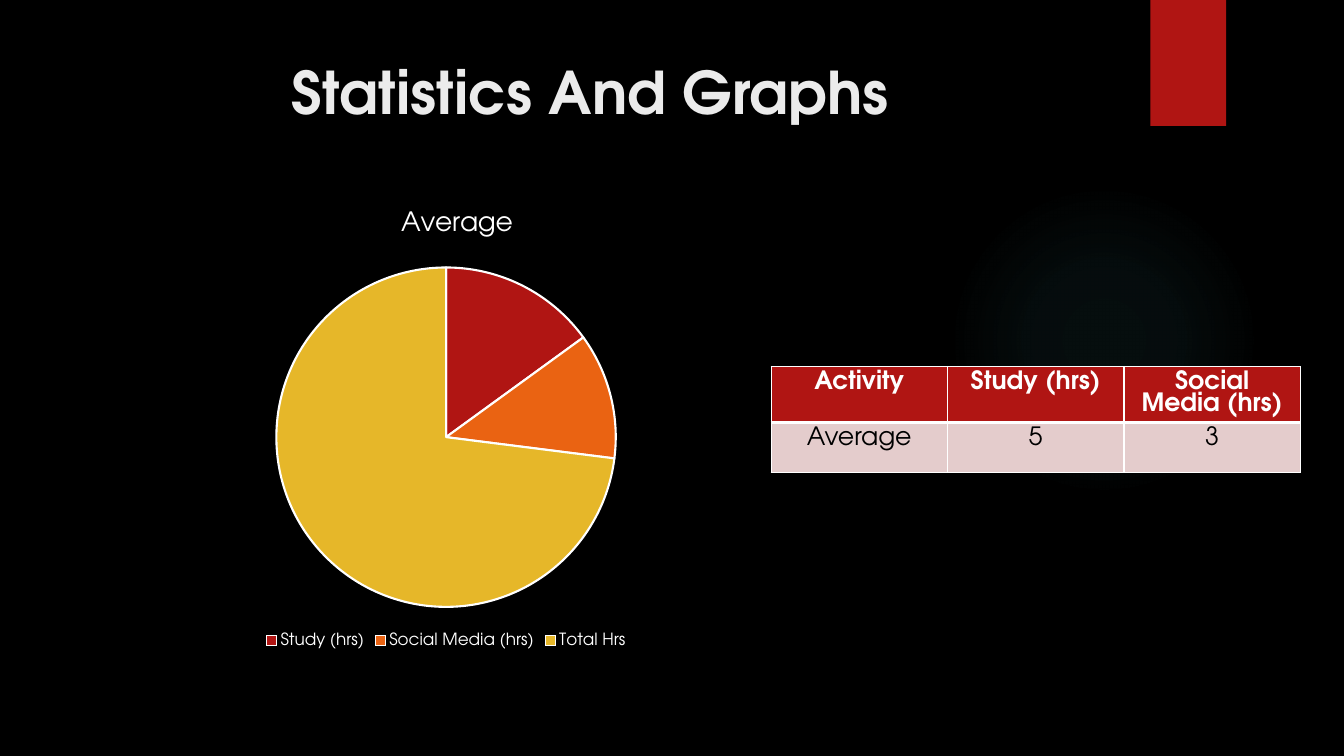
from dataclasses import dataclass

from lxml import etree
from pptx import Presentation
from pptx.chart.data import CategoryChartData
from pptx.dml.color import RGBColor
from pptx.enum.chart import XL_CHART_TYPE, XL_LEGEND_POSITION
from pptx.enum.shapes import MSO_SHAPE
from pptx.enum.text import MSO_ANCHOR, PP_ALIGN
from pptx.oxml import parse_xml
from pptx.oxml.ns import qn
from pptx.util import Pt

PIE = XL_CHART_TYPE.PIE
LEGEND_BOTTOM = XL_LEGEND_POSITION.BOTTOM
ELLIPSE, RECTANGLE = MSO_SHAPE.OVAL, MSO_SHAPE.RECTANGLE
TOP, CENTER = MSO_ANCHOR.TOP, PP_ALIGN.CENTER
DRAWING_NS = "http://schemas.openxmlformats.org/drawingml/2006/main"


@dataclass(frozen=True)
class Theme:
    font: str = "TeX Gyre Adventor"
    background: str = "000000"
    title: str = "EBEBEB"
    light: str = "FFFFFF"
    dark: str = "000000"
    accent: str = "B01513"
    table_body: str = "E4CCCC"
    glow: str = "50B9C1"
    slices: tuple = ("B01513", "EA6312", "E6B729")
    title_size: float = 42
    chart_title_size: float = 19
    table_size: float = 18
    legend_size: float = 12


THEME = Theme()


def rgb(color):
    return RGBColor.from_string(color)


def style_font(font, size, color, bold=False):
    font.name, font.size, font.bold = THEME.font, Pt(size), bold
    font.color.rgb = rgb(color)


def write_text(frame, text, size, color, bold=False):
    paragraph = frame.paragraphs[0]
    paragraph.alignment = CENTER
    run = paragraph.add_run()
    run.text = text
    style_font(run.font, size, color, bold)
    return paragraph


def add_plain_shape(slide, kind, *box):
    shape = slide.shapes.add_shape(kind, *map(Pt, box))
    shape.shadow.inherit = False
    shape.line.fill.background()
    return shape


def add_glow(slide, *box):
    shape = add_plain_shape(slide, ELLIPSE, *box)
    shape.fill.background()
    stops = "".join(
        f'<a:gs pos="{position * 1000}"><a:srgbClr val="{THEME.glow}">'
        f'<a:alpha val="{opacity * 1000}"/></a:srgbClr></a:gs>'
        for position, opacity in ((0, 7), (36, 6), (69, 0), (100, 0)))
    gradient = parse_xml(
        f'<a:gradFill xmlns:a="{DRAWING_NS}" rotWithShape="1">'
        f'<a:gsLst>{stops}</a:gsLst><a:path path="circle">'
        '<a:fillToRect l="50000" t="50000" r="50000" b="50000"/>'
        '</a:path></a:gradFill>')
    properties = shape._element.spPr
    properties.replace(properties.find(qn("a:noFill")), gradient)


def add_tab(slide, *box):
    shape = add_plain_shape(slide, RECTANGLE, *box)
    shape.fill.solid()
    shape.fill.fore_color.rgb = rgb(THEME.accent)


def place_title(slide, text, *box):
    title = slide.shapes.title
    title.left, title.top, title.width, title.height = map(Pt, box)
    title.text_frame.vertical_anchor = TOP
    write_text(title.text_frame, text, THEME.title_size, THEME.title, True)


def set_borders(cell, widths):
    properties = cell._tc.get_or_add_tcPr()
    for side, width in widths.items():
        line = etree.SubElement(properties, qn(f"a:ln{side}"), w=str(Pt(width)))
        fill = etree.SubElement(line, qn("a:solidFill"))
        etree.SubElement(fill, qn("a:srgbClr"), val=THEME.light)


def add_hours_table(slide, rows, left, top, column_width, row_heights):
    column_count = len(rows[0])
    table = slide.shapes.add_table(
        len(rows), column_count, Pt(left), Pt(top),
        Pt(column_width * column_count), Pt(sum(row_heights))).table
    for column in table.columns:
        column.width = Pt(column_width)
    for row_index, (texts, height) in enumerate(zip(rows, row_heights)):
        header = row_index == 0
        table.rows[row_index].height = Pt(height)
        for column_index, text in enumerate(texts):
            cell = table.cell(row_index, column_index)
            # Thick rule between header and body
            set_borders(cell, {"L": 1, "R": 1, "T": 1 if header else 3,
                               "B": 3 if header else 1})
            cell.fill.solid()
            cell.fill.fore_color.rgb = rgb(
                THEME.accent if header else THEME.table_body)
            paragraph = write_text(
                cell.text_frame, text, THEME.table_size,
                THEME.light if header else THEME.dark, header)
            paragraph.line_spacing = 0.95


def set_layout(element, index, inner=False, **fractions):
    """Place a chart part by fractions of the chart's size."""
    for old in element.findall(qn("c:layout")):
        element.remove(old)
    layout = etree.Element(qn("c:layout"))
    manual = etree.SubElement(layout, qn("c:manualLayout"))
    if inner:
        etree.SubElement(manual, qn("c:layoutTarget"), val="inner")
    for axis in ("x", "y"):
        etree.SubElement(manual, qn(f"c:{axis}Mode"), val="edge")
    for name, value in fractions.items():
        etree.SubElement(manual, qn(f"c:{name}"), val=str(value))
    element.insert(index, layout)


def add_pie(slide, title, values, *box):
    data = CategoryChartData()
    data.categories = list(values)
    data.add_series("Series 1", list(values.values()))
    chart = slide.shapes.add_chart(PIE, *map(Pt, box), data).chart
    style_font(chart.font, THEME.legend_size, THEME.light)

    # Title and legend
    chart.has_title = True
    write_text(chart.chart_title.text_frame, title,
               THEME.chart_title_size, THEME.light)
    set_layout(chart.chart_title._element, 1, x=0.41, y=0.01)
    chart.has_legend = True
    chart.legend.position = LEGEND_BOTTOM
    chart.legend.include_in_layout = False
    style_font(chart.legend.font, THEME.legend_size, THEME.light)

    # Slices
    plot = chart.plots[0]
    plot.vary_by_categories = True
    for index, color in enumerate(THEME.slices):
        point = plot.series[0].points[index]
        point.format.fill.solid()
        point.format.fill.fore_color.rgb = rgb(color)
        point.format.line.color.rgb = rgb(THEME.light)
        point.format.line.width = Pt(1.5)
    plot_area = chart._chartSpace.find(f".//{qn('c:plotArea')}")
    set_layout(plot_area, 0, inner=True, x=0.19, y=0.15, w=0.62, h=0.75)


def main():
    presentation = Presentation()
    presentation.slide_width, presentation.slide_height = Pt(960), Pt(540)
    slide = presentation.slides.add_slide(presentation.slide_layouts[5])
    slide.background.fill.solid()
    slide.background.fill.fore_color.rgb = rgb(THEME.background)

    # Decoration
    add_glow(slide, 677.5, 131.8, 221.8, 221.8)
    add_tab(slide, 821.8, 0, 54, 90)

    # Content
    place_title(slide, "Statistics And Graphs", 51.1, 36, 740.9, 110.2)
    add_hours_table(
        slide,
        [("Activity", "Study (hrs)", "Social Media (hrs)"),
         ("Average", "5", "3")],
        left=550.8, top=261.8, column_width=126, row_heights=(40, 35.5))
    add_pie(slide, "Average",
            {"Study (hrs)": 15, "Social Media (hrs)": 12, "Total Hrs": 73},
            121, 142.6, 395.3, 323.3)

    presentation.save("out.pptx")


if __name__ == "__main__":
    main()
